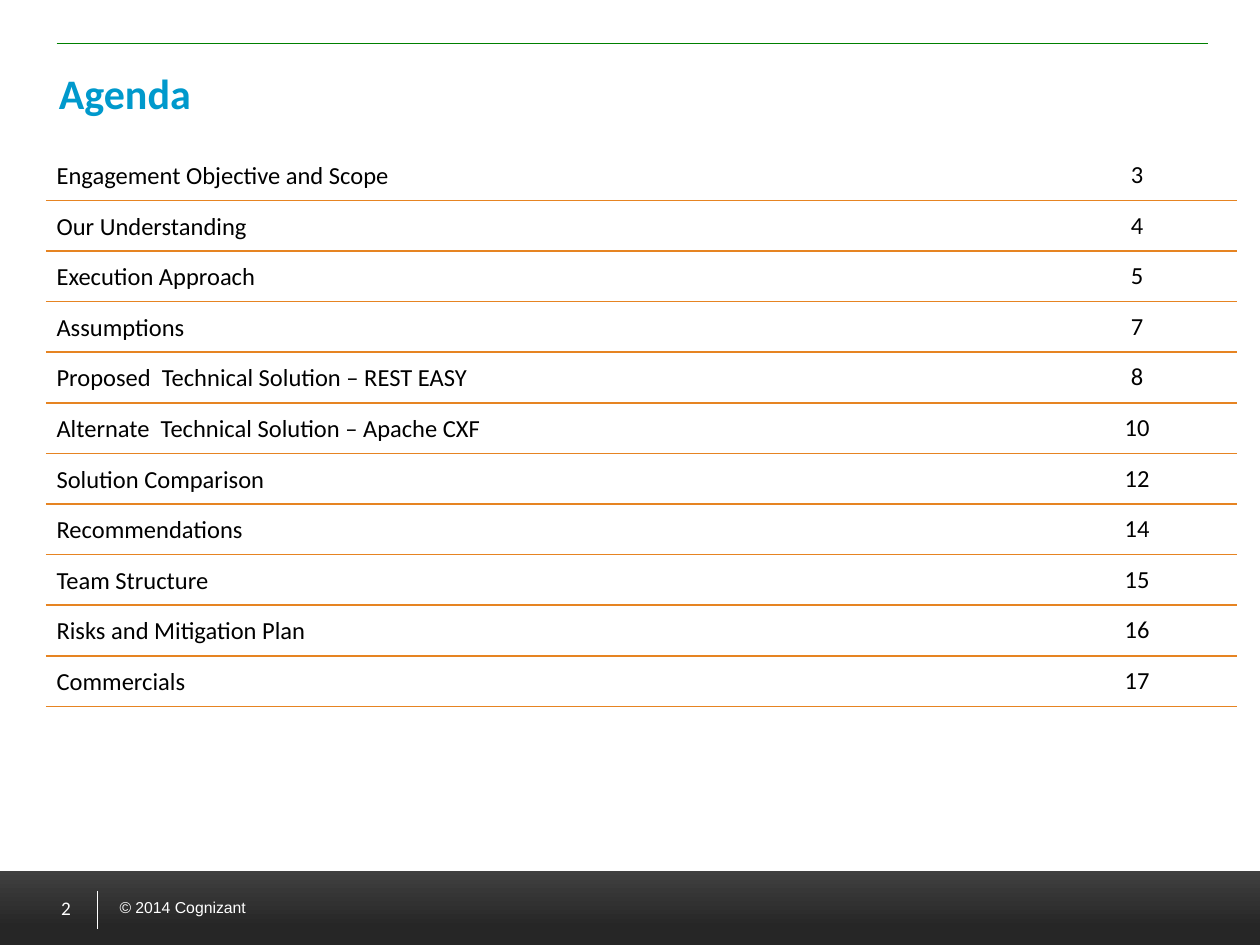
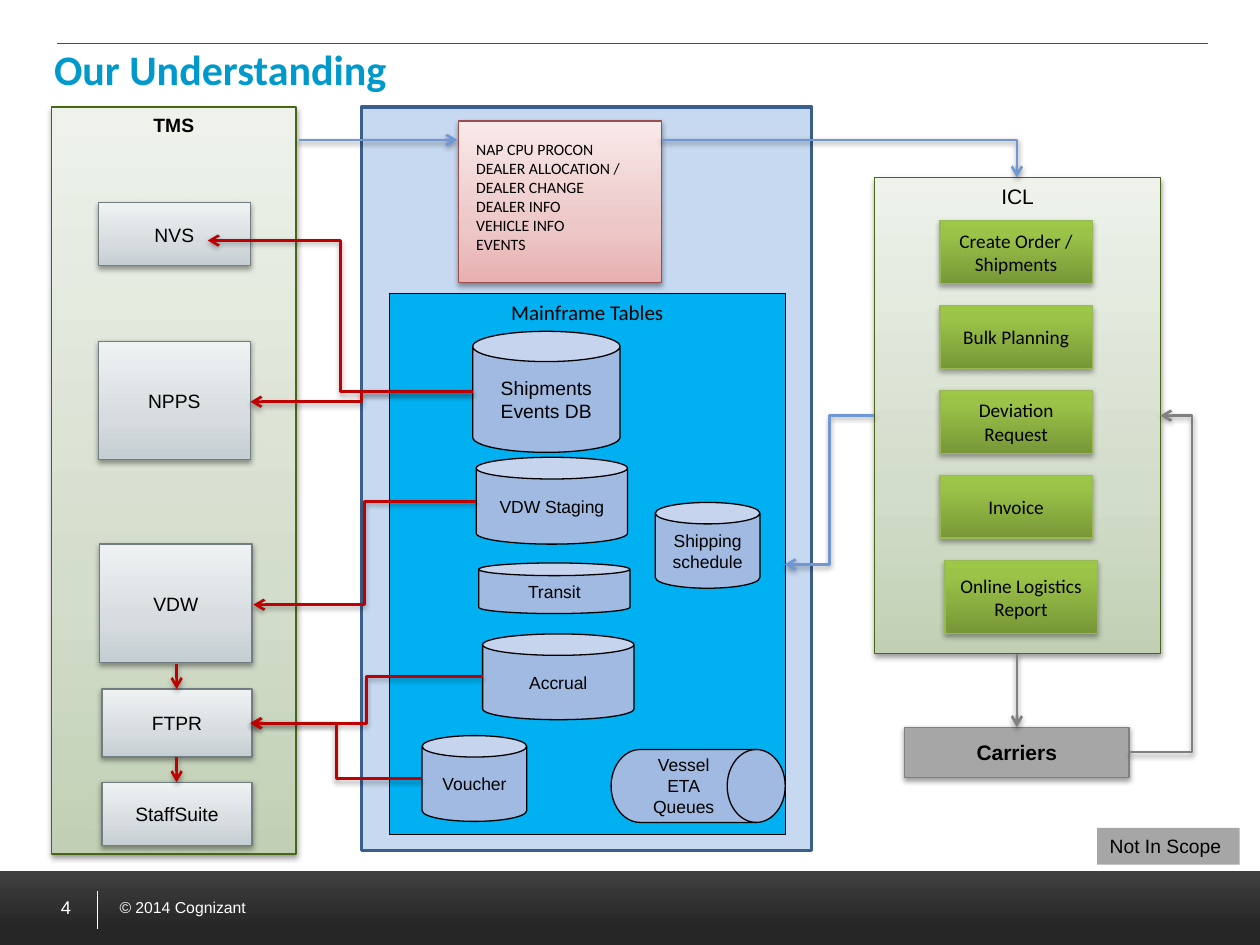
from typing import NamedTuple, Optional

from lxml.etree import SubElement
from pptx import Presentation
from pptx.dml.color import RGBColor
from pptx.enum.shapes import MSO_CONNECTOR, MSO_SHAPE
from pptx.enum.text import MSO_ANCHOR, PP_ALIGN
from pptx.oxml import parse_xml
from pptx.oxml.ns import nsdecls, qn
from pptx.util import Cm, Pt

# Shared colours
BLACK, WHITE = "000000", "FFFFFF"
TITLE_BLUE, RULE_GREEN, TABLE_ORANGE = "0099CC", "008000", "E68422"
ARROW_RED, ARROW_BLUE, ARROW_GREY = "C00000", "7097D3", "808080"
SCOPE_GREY = "A6A6A6"

Stops = tuple[tuple[int, str], ...]


class TextStyle(NamedTuple):
    size: float
    font: str = "Arial"
    color: str = BLACK
    bold: bool = False
    align: PP_ALIGN = PP_ALIGN.CENTER
    anchor: MSO_ANCHOR = MSO_ANCHOR.MIDDLE
    wrap: bool = True


class Look(NamedTuple):
    """Outline, fill (one colour or stops from bottom to top) and shadow."""
    fill: str | Stops
    line: Optional[str] = None
    width: float = 0.75
    shadow: int = 0  # opacity in percent
    preset: MSO_SHAPE = MSO_SHAPE.RECTANGLE


class Node(NamedTuple):
    text: str
    left: float
    top: float
    width: float
    height: float
    look: Look
    style: TextStyle


class Arrow(NamedTuple):
    start: tuple[float, float]
    end: tuple[float, float]
    color: str
    preset: str = "bentConnector3"
    bend: float = 0.5  # place of the middle leg


# Looks
BAND = Look(((24, "262626"), (100, "404040")))
GREEN_PANEL = Look(((0, "C1D0B4"), (35, "D3DDCB"), (100, "EEF2EB")), "496615", shadow=38)
SYSTEM = Look(((0, "C5CED2"), (35, "D6DCDF"), (100, "EFF2F3")), "727D82", shadow=38)
PINK_NOTE = Look(((0, "E8B0B0"), (35, "EDC8C8"), (100, "F9E9E9")), "9A4E4E", shadow=38)
STEP = Look(((0, "779737"), (80, "9BC348"), (100, "9DC746")), "98B955", shadow=35)
CARRIER = Look(SCOPE_GREY, ARROW_GREY, shadow=38)
BLUE_PANEL = Look("C6D9F1", "3A5F8C", 2, preset=MSO_SHAPE.FLOWCHART_PROCESS)
TABLE_PANEL = Look("00B0F0", BLACK, 0.25)
CAN = Look("A0BAE1", BLACK, preset=MSO_SHAPE.CAN)
DRUM = CAN._replace(preset=MSO_SHAPE.FLOWCHART_DIRECT_ACCESS_STORAGE)
LEGEND = Look(SCOPE_GREY)

# Text styles
LABEL = TextStyle(11)
SMALL_LABEL = TextStyle(10)
STEP_LABEL = TextStyle(11, "Calibri")
PANEL_LABEL = TextStyle(12, anchor=MSO_ANCHOR.TOP)
TITLE = TextStyle(24, "Calibri", TITLE_BLUE, True, PP_ALIGN.LEFT, MSO_ANCHOR.TOP)
COPYRIGHT = TextStyle(9, "Arial", WHITE, align=PP_ALIGN.LEFT, anchor=MSO_ANCHOR.TOP)
NOTE = TextStyle(9, "Calibri", align=PP_ALIGN.LEFT, anchor=MSO_ANCHOR.TOP, wrap=False)
LEGEND_LABEL = TextStyle(11, align=PP_ALIGN.LEFT, anchor=MSO_ANCHOR.TOP, wrap=False)
AGENDA = TextStyle(14, "Calibri", align=PP_ALIGN.LEFT)

AGENDA_ROWS = (
    ("Engagement Objective and Scope", 3),
    ("Our Understanding", 4),
    ("Execution Approach", 5),
    ("Assumptions", 7),
    ("Proposed  Technical Solution – REST EASY", 8),
    ("Alternate  Technical Solution – Apache CXF", 10),
    ("Solution Comparison", 12),
    ("Recommendations", 14),
    ("Team Structure", 15),
    ("Risks and Mitigation Plan", 16),
    ("Commercials", 17),
)

STEP_PITCH = 1.71
STEPS = ("Create Order / Shipments", "Bulk Planning", "Deviation Request", "Invoice")

NODES = (
    # Panels
    Node("", 7.29, 2.16, 9.07, 14.99, BLUE_PANEL, LABEL),
    Node("Mainframe Tables", 7.85, 5.92, 7.98, 10.9, TABLE_PANEL,
         PANEL_LABEL._replace(font="Calibri")),
    Node("TMS", 1.04, 2.16, 4.93, 15.06, GREEN_PANEL,
         PANEL_LABEL._replace(size=11, bold=True)),
    Node("ICL", 17.63, 3.58, 5.77, 9.6, GREEN_PANEL, PANEL_LABEL),
    Node("", 9.25, 2.44, 4.09, 3.25, PINK_NOTE, NOTE),
    # Systems on the left
    Node("NVS", 1.98, 4.09, 3.07, 1.27, SYSTEM, LABEL),
    Node("NPPS", 1.98, 6.88, 3.07, 2.39, SYSTEM, LABEL),
    Node("VDW", 2.01, 10.97, 3.07, 2.39, SYSTEM, LABEL),
    Node("FTPR", 2.06, 13.89, 3.02, 1.37, SYSTEM, LABEL),
    Node("StaffSuite", 2.06, 15.77, 3.02, 1.27, SYSTEM, LABEL),
    # Data stores
    Node("Shipments Events DB", 9.53, 6.68, 2.97, 2.44, CAN, LABEL),
    Node("VDW Staging", 9.6, 9.22, 3.05, 1.75, CAN, SMALL_LABEL),
    Node("Shipping schedule", 13.21, 10.13, 2.11, 1.73, CAN, SMALL_LABEL),
    Node("Transit", 9.65, 11.35, 3.05, 1.02, CAN, SMALL_LABEL),
    Node("Accrual", 9.73, 12.78, 3.05, 1.73, CAN, SMALL_LABEL),
    Node("Voucher", 8.51, 14.83, 2.11, 1.73, CAN, SMALL_LABEL),
    Node("Vessel ETA\nQueues", 12.32, 15.11, 3.51, 1.47, DRUM, SMALL_LABEL),
    # Steps on the right
    *(Node(step, 18.95, 4.45 + index * STEP_PITCH, 3.07, 1.27, STEP, STEP_LABEL)
      for index, step in enumerate(STEPS)),
    Node("Online Logistics Report", 19.05, 11.3, 3.07, 1.47, STEP, STEP_LABEL),
    Node("Carriers", 18.24, 14.66, 4.52, 1.02, CARRIER, TextStyle(12, bold=True)),
    Node("Not In Scope", 22.12, 16.69, 2.87, 0.74, LEGEND, LEGEND_LABEL),
)

EVENT_LIST = ("NAP CPU PROCON\nDEALER ALLOCATION /\nDEALER CHANGE\n"
              "DEALER INFO\nVEHICLE INFO\nEVENTS")

ARROWS = (
    Arrow((6.02, 2.82), (9.22, 2.82), ARROW_BLUE, "line"),
    Arrow((13.34, 2.82), (20.5, 3.58), ARROW_BLUE, "bentConnector2"),
    Arrow((17.63, 8.38), (15.82, 11.38), ARROW_BLUE),
    Arrow((20.5, 13.18), (20.5, 14.66), ARROW_GREY, "line"),
    Arrow((22.76, 15.16), (23.39, 8.38), ARROW_GREY, bend=2.02),
    Arrow((9.53, 7.9), (4.19, 4.85), ARROW_RED),
    Arrow((9.53, 7.9), (5.05, 8.1), ARROW_RED),
    Arrow((9.6, 10.11), (5.11, 12.19), ARROW_RED),
    Arrow((9.73, 13.64), (5.05, 14.58), ARROW_RED),
    Arrow((8.51, 15.7), (5.05, 14.58), ARROW_RED),
    Arrow((3.56, 13.39), (3.56, 13.89), ARROW_RED, "line"),
    Arrow((3.56, 15.27), (3.56, 15.77), ARROW_RED, "line"),
)


def rgb(color: str) -> RGBColor:
    return RGBColor.from_string(color)


def write(frame, text: str, style: TextStyle) -> None:
    frame.word_wrap = style.wrap
    frame.vertical_anchor = style.anchor
    frame.text = text
    for paragraph in frame.paragraphs:
        paragraph.alignment = style.align
        font = paragraph.font
        font.size, font.name, font.bold = Pt(style.size), style.font, style.bold
        font.color.rgb = rgb(style.color)


def add_text(page, text: str, left: float, top: float, width: float, height: float,
             style: TextStyle) -> None:
    box = page.shapes.add_textbox(Cm(left), Cm(top), Cm(width), Cm(height))
    write(box.text_frame, text, style)


def add_shadow(effects, opacity: int) -> None:
    effects.append(parse_xml(
        f'<a:outerShdw {nsdecls("a")} blurRad="40000" dist="20000" dir="5400000" '
        f'rotWithShape="0"><a:srgbClr val="{BLACK}"><a:alpha val="{opacity * 1000}"/>'
        '</a:srgbClr></a:outerShdw>'))


def paint(shape, fill: str | Stops) -> None:
    if isinstance(fill, str):
        shape.fill.solid()
        shape.fill.fore_color.rgb = rgb(fill)
        return
    shape.fill.gradient()
    shape.fill.gradient_angle = 90
    stop_list = shape.element.spPr.find(".//" + qn("a:gsLst"))
    stop_list.clear()
    for position, color in fill:
        stop = SubElement(stop_list, qn("a:gs"), pos=str(position * 1000))
        SubElement(stop, qn("a:srgbClr"), val=color)


def add_node(page, node: Node) -> None:
    look = node.look
    shape = page.shapes.add_shape(look.preset, Cm(node.left), Cm(node.top),
                                  Cm(node.width), Cm(node.height))
    paint(shape, look.fill)
    if look.line:
        shape.line.color.rgb = rgb(look.line)
        shape.line.width = Pt(look.width)
    else:
        shape.line.fill.background()
    shape.shadow.inherit = False
    if look.shadow:
        add_shadow(shape.element.spPr.find(qn("a:effectLst")), look.shadow)
    if node.text:
        write(shape.text_frame, node.text, node.style)


def add_line(page, start: tuple[float, float], end: tuple[float, float], color: str,
             width: float, kind: MSO_CONNECTOR = MSO_CONNECTOR.STRAIGHT):
    line = page.shapes.add_connector(kind, *map(Cm, start + end))
    line.line.color.rgb = rgb(color)
    line.line.width = Pt(width)
    SubElement(line.element.spPr, qn("a:effectLst"))
    return line


def add_arrow(page, arrow: Arrow) -> None:
    straight = arrow.preset == "line"
    kind = MSO_CONNECTOR.STRAIGHT if straight else MSO_CONNECTOR.ELBOW
    line = add_line(page, arrow.start, arrow.end, arrow.color, 1.5, kind)
    properties = line.element.spPr
    SubElement(properties.find(qn("a:ln")), qn("a:tailEnd"), type="arrow")
    add_shadow(properties.find(qn("a:effectLst")), 38)
    geometry = properties.find(qn("a:prstGeom"))
    geometry.set("prst", arrow.preset)
    if arrow.preset == "bentConnector3":
        SubElement(geometry.find(qn("a:avLst")), qn("a:gd"), name="adj1",
                   fmla=f"val {round(arrow.bend * 100000)}")


def add_page(deck, title: str, left: float, top: float, number: int,
             number_style: TextStyle):
    """Add a slide with the footer band, the top rule and the title."""
    page = deck.slides.add_slide(deck.slide_layouts[6])
    add_node(page, Node("", 0, 17.56, 25.4, 1.49, BAND, LABEL))
    add_text(page, "© 2014 Cognizant", 2.16, 17.98, 5.33, 0.64, COPYRIGHT)
    add_line(page, (1.96, 17.96), (1.96, 18.72), WHITE, 0.5)
    add_line(page, (1.14, 0.88), (24.36, 0.88), RULE_GREEN, 0.5)
    add_text(page, str(number), 0.46, 17.7, 1.22, 1.19, number_style)
    add_text(page, title, left, top, 23.5, 1.19, TITLE)
    return page


def add_border(cell, side: str, position: int) -> None:
    cell._tc.get_or_add_tcPr().insert(position, parse_xml(
        f'<a:{side} {nsdecls("a")} w="12700"><a:solidFill>'
        f'<a:srgbClr val="{TABLE_ORANGE}"/></a:solidFill></a:{side}>'))


def add_agenda(page) -> None:
    row_height = 1.02
    table = page.shapes.add_table(len(AGENDA_ROWS), 2, Cm(0.94), Cm(3.02), Cm(23.98),
                                  Cm(row_height * len(AGENDA_ROWS))).table
    table.first_row = table.horz_banding = False
    for column, width in zip(table.columns, (19.99, 3.99)):
        column.width = Cm(width)
    for index, (topic, number) in enumerate(AGENDA_ROWS):
        table.rows[index].height = Cm(row_height)
        topic_cell, number_cell = table.rows[index].cells
        write(topic_cell.text_frame, topic, AGENDA)
        topic_cell.text_frame.paragraphs[0].line_spacing = 1.06
        write(number_cell.text_frame, str(number), AGENDA._replace(align=PP_ALIGN.CENTER))
        for cell in (topic_cell, number_cell):
            cell.vertical_anchor = MSO_ANCHOR.MIDDLE
            cell.margin_left = cell.margin_right = Cm(0.2)
            cell.margin_top = cell.margin_bottom = Cm(0.1)
            cell.fill.background()
            add_border(cell, "lnB", 0)
            if index:
                add_border(cell, "lnT", 0)


def main() -> None:
    deck = Presentation()
    deck.slide_width, deck.slide_height = Cm(25.4), Cm(19.05)
    number_style = TextStyle(11, "Calibri", WHITE, align=PP_ALIGN.RIGHT)

    # Agenda
    add_agenda(add_page(deck, "Agenda", 0.94, 1.24, 2, number_style))

    # System landscape
    page = add_page(deck, "Our Understanding", 0.84, 0.76, 4,
                    number_style._replace(size=10.5, font="Arial"))
    for node in NODES:
        add_node(page, node)
    add_text(page, EVENT_LIST, 9.35, 2.69, 3.45, 3.02, NOTE)
    for arrow in ARROWS:
        add_arrow(page, arrow)

    deck.save("out.pptx")


if __name__ == "__main__":
    main()
